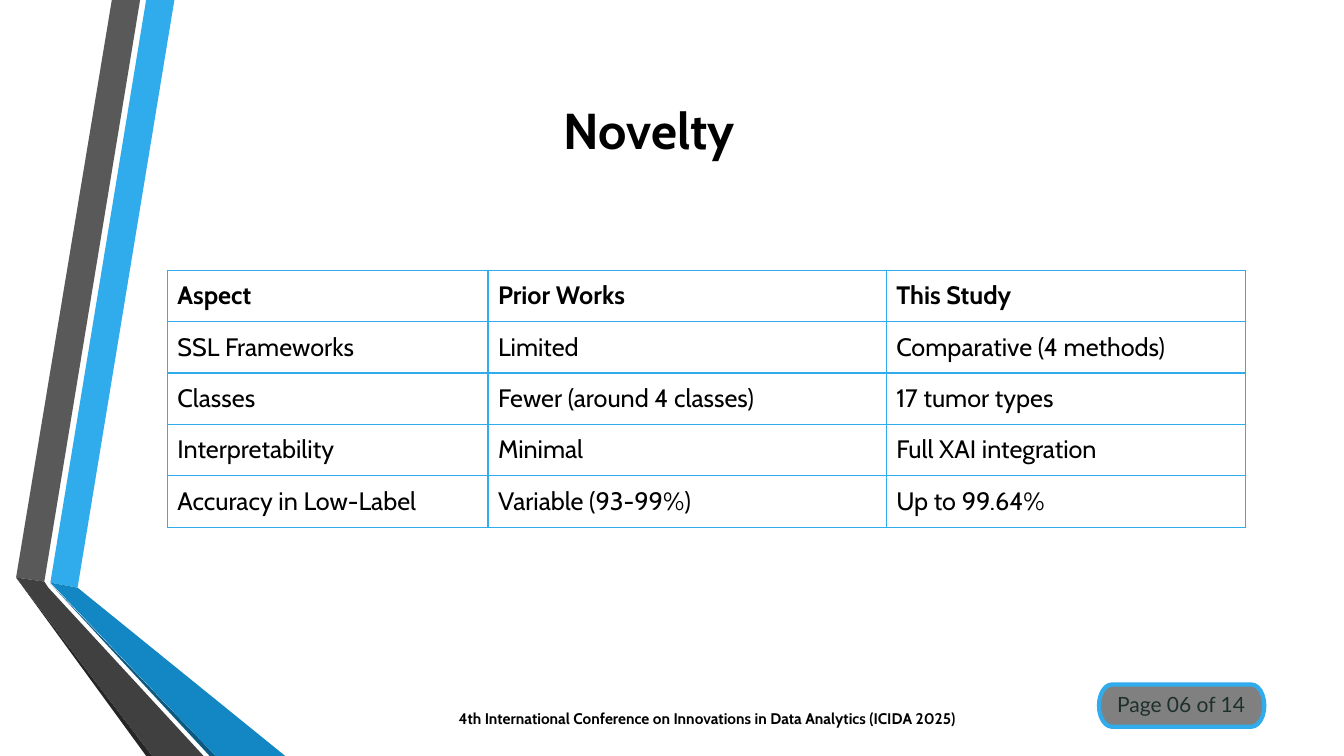
import math
from pptx import Presentation
from pptx import util as u
from pptx.dml.color import RGBColor
from pptx.enum import text
from pptx.oxml import parse_xml
from pptx.oxml.ns import nsdecls

# Content
TITLE = "Novelty"
FOOTER = "4th International Conference on Innovations in Data Analytics (ICIDA 2025)"
PAGE_LABEL = "Page 06 of 14"
ROWS = [
    ("Aspect", "Prior Works", "This Study"),
    ("SSL Frameworks", "Limited", "Comparative (4 methods)"),
    ("Classes", "Fewer (around 4 classes)", "17 tumor types"),
    ("Interpretability", "Minimal", "Full XAI integration"),
    ("Accuracy in Low-Label", "Variable (93-99%)", "Up to 99.64%"),
]

# Look and layout, in inches
WIDTH, HEIGHT = 13.33, 7.5
BLUE, BLACK, GREY, INK = "30ACEC", "000000", "808080", "1E302C"
TABLE_LEFT, TABLE_TOP = 1.66, 2.68
COLUMNS, ROW_HEIGHT = (3.18, 3.95, 3.56), 0.51
BADGE = (10.9, 6.79, 1.64, 0.42)
BADGE_CORNER = 0.13
RIBBONS = [
    (BLUE, [(0.5, 5.78), (0.77, 5.83), (1.73, 0), (1.45, 0)]),
    ("595959", [(1.39, 0), (1.11, 0), (0.16, 5.73), (0.44, 5.77)]),
    ("262626", [(0.16, 5.73), (1.45, HEIGHT), (1.51, HEIGHT)]),
    ("0C5A82", [(0.5, 5.79), (2.08, HEIGHT), (2.14, HEIGHT)]),
    ("1287C3", [(0.5, 5.78), (2.14, HEIGHT), (2.83, HEIGHT), (0.77, 5.83)]),
    ("404040", [(0.16, 5.73), (1.51, HEIGHT), (2.02, HEIGHT), (0.48, 5.83), (0.44, 5.77)]),
]


def rgb(value):
    return RGBColor.from_string(value)


def add_outline(page, points, fill, line=None, weight=0):
    emu = [(u.Inches(x), u.Inches(y)) for x, y in points]
    builder = page.shapes.build_freeform(*emu[0], scale=1.0)
    builder.add_line_segments(emu[1:], close=True)
    shape = builder.convert_to_shape()
    shape.shadow.inherit = False
    shape.fill.solid()
    shape.fill.fore_color.rgb = rgb(fill)
    if line:
        shape.line.color.rgb = rgb(line)
        shape.line.width = u.Pt(weight)
    else:
        shape.line.fill.background()


def write(para, words, size, font="Cabin", color=BLACK, bold=False):
    span = para.add_run()
    span.text = words
    span.font.name, span.font.size, span.font.bold = font, u.Pt(size), bold
    span.font.color.rgb = rgb(color)


def add_label(page, place, words, size, align, anchor, inset=True, **style):
    box = page.shapes.add_textbox(*map(u.Inches, place))
    frame = box.text_frame
    frame.word_wrap, frame.vertical_anchor = True, anchor
    if not inset:
        frame.margin_left = frame.margin_right = 0
        frame.margin_top = frame.margin_bottom = 0
    para = frame.paragraphs[0]
    para.alignment = align
    write(para, words, size, **style)
    return para


def add_borders(cell, color):
    properties = cell._tc.get_or_add_tcPr()
    for index, side in enumerate(("lnL", "lnR", "lnT", "lnB")):
        properties.insert(index, parse_xml(
            f'<a:{side} {nsdecls("a")} w="{u.Pt(1)}"><a:solidFill>'
            f'<a:srgbClr val="{color}"/></a:solidFill></a:{side}>'))


def badge_outline(left, top, width, height, corner, steps=12):
    """Rounded ends made of half ellipses, clockwise from the top right."""
    middle = top + height / 2
    points = []
    for center, start in ((left + width - corner, -90), (left + corner, 90)):
        for step in range(steps + 1):
            angle = math.radians(start + 180 * step / steps)
            points.append((center + corner * math.cos(angle),
                           middle + height / 2 * math.sin(angle)))
    return points


def add_comparison(page):
    frame = page.shapes.add_table(
        len(ROWS), len(COLUMNS), u.Inches(TABLE_LEFT), u.Inches(TABLE_TOP),
        u.Inches(sum(COLUMNS)), u.Inches(ROW_HEIGHT * len(ROWS)))
    table = frame.table
    table.first_row = table.horz_banding = False
    for column, width in zip(table.columns, COLUMNS):
        column.width = u.Inches(width)
    for r, words_in_row in enumerate(ROWS):
        table.rows[r].height = u.Inches(ROW_HEIGHT)
        for c, words in enumerate(words_in_row):
            cell = table.cell(r, c)
            cell.fill.background()
            cell.vertical_anchor = text.MSO_ANCHOR.MIDDLE
            add_borders(cell, BLUE)
            write(cell.text_frame.paragraphs[0], words, 18, bold=r == 0)


def main():
    deck = Presentation()
    deck.slide_width, deck.slide_height = u.Inches(WIDTH), u.Inches(HEIGHT)
    page = deck.slides.add_slide(deck.slide_layouts[6])
    left, center = text.PP_ALIGN.LEFT, text.PP_ALIGN.CENTER
    top, middle = text.MSO_ANCHOR.TOP, text.MSO_ANCHOR.MIDDLE

    # Folded ribbons on the left
    for fill, points in RIBBONS:
        add_outline(page, points, fill)

    # Title, footer and table
    add_label(page, (1.34, 0.92, 10.2, 0.72), TITLE, 36, center, middle, bold=True)
    add_label(page, (4.45, 7.02, 7, 0.21), FOOTER, 11, left, middle, bold=True)
    add_comparison(page)

    # Page badge
    add_outline(page, badge_outline(*BADGE, BADGE_CORNER), GREY, BLUE, 3)
    label = add_label(page, (10.55, 6.82, 2.33, 0.28), PAGE_LABEL, 15, center, top,
                      inset=False, font="Lato", color=INK)
    label.line_spacing = u.Pt(21)

    deck.save("out.pptx")


if __name__ == "__main__":
    main()
